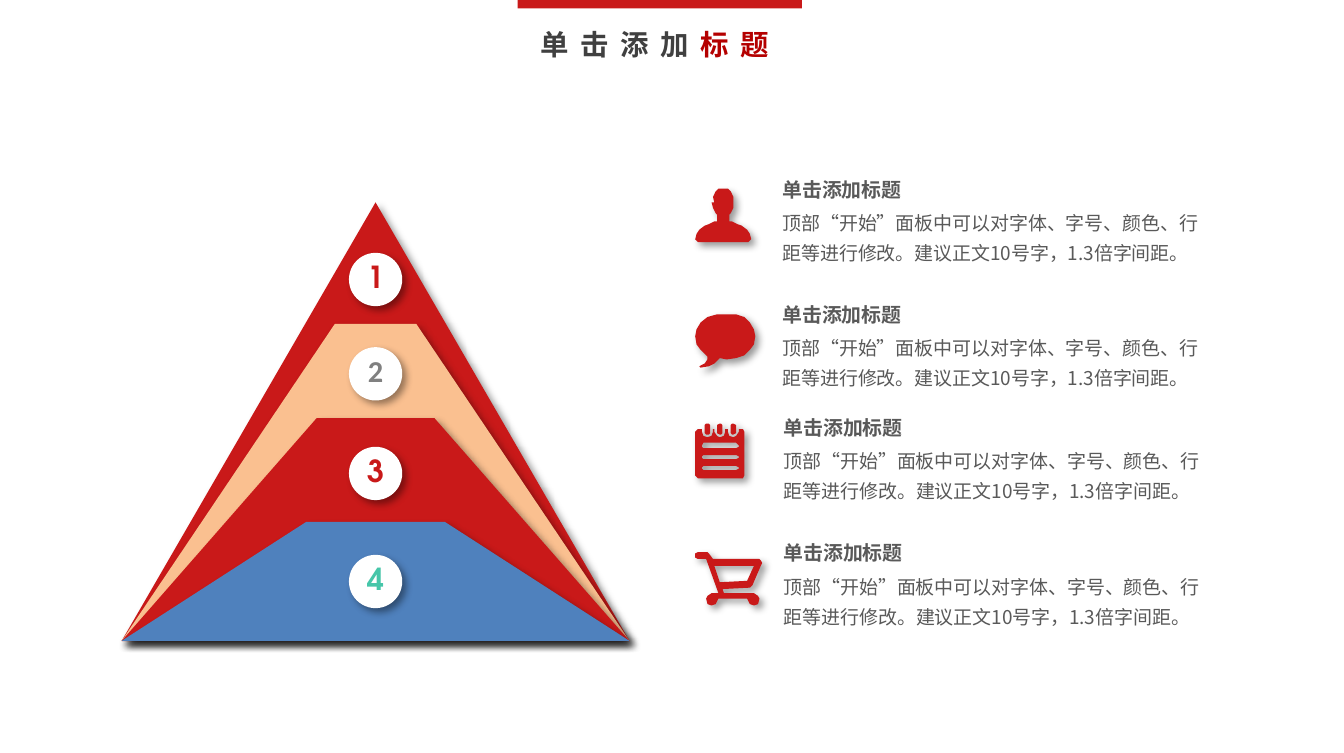
"""Build a slide with a four-level pyramid and four icon-led notes."""
from lxml import etree
from pptx import Presentation
from pptx.dml.color import RGBColor
from pptx.enum.shapes import MSO_SHAPE
from pptx.enum.text import MSO_AUTO_SIZE, PP_ALIGN
from pptx.oxml.ns import qn
from pptx.util import Pt

TRIANGLE, TRAPEZOID = MSO_SHAPE.ISOSCELES_TRIANGLE, MSO_SHAPE.TRAPEZOID
OVAL, RECTANGLE = MSO_SHAPE.OVAL, MSO_SHAPE.RECTANGLE
LEFT, CENTER = PP_ALIGN.LEFT, PP_ALIGN.CENTER
FIT_SHAPE = MSO_AUTO_SIZE.SHAPE_TO_FIT_TEXT

THEME = {
    "red": "C91919", "peach": "FAC090", "blue": "4F81BD", "white": "FFFFFF",
    "gray": "808080", "teal": "46C6A9", "text": "595959",
    "title": "404040", "accent": "B40000", "shadow": "000000",
    "heading font": "Calibri", "body font": "Noto Sans CJK SC",
    "quote font": "Roboto", "number font": "TeX Gyre Adventor",
    "title size": 15, "number size": 16, "heading size": 10.5, "body size": 10,
}

TITLE = [("单击添加", "title"), ("标题", "accent")]
HEADING = "单击添加标题"
BODY = ["顶部", "“", "开始", "”",
        "面板中可以对字体、字号、颜色、行距等进行修改。建议正文10号字，1.3倍字间距。"]

# level: label, top, trapezoid inset, fill, badge top, number colour, number font
LEVELS = [
    ("1", 106.6, None, "red", 133.2, "red", "number font"),
    ("2", 170.6, 0.673, "peach", 182.9, "gray", "heading font"),
    ("3", 220.3, 0.876, "red", 235.4, "red", "number font"),
    ("4", 275.0, 1.552, "blue", 292.3, "teal", "number font"),
]
PYRAMID_LEFT, PYRAMID_WIDTH, PYRAMID_BOTTOM = 64.1, 267.8, 337.7
BADGE_SIZE, NUMBER_WIDTH = 28.1, 24
ICON_LEFT, ICON_UNIT = 366.5, 0.72

HALF_PERSON = [
    (20.5, 0), (22, 0), (24, 0.5), (26, 2), (27, 3.5), (28, 6), (27.5, 9.5),
    (28.5, 10.5), (28, 13.5), (27, 15.5), (26, 17.5), (25, 19), (25, 23.5),
    (27, 24.5), (31, 26), (34, 27), (38, 30), (40, 33), (41, 37), (40, 38.5),
    (39, 39),
]
BUBBLE = [
    (23, 0), (30, 0.5), (36, 2.5), (40.5, 6), (43, 11), (44, 16.5), (43, 22),
    (40.5, 26.5), (36, 30), (30, 32), (23, 33), (18.5, 32), (14, 36), (10, 38),
    (4, 39), (3, 38), (7, 36), (9, 33), (9, 31), (8, 29.5), (4, 26), (1, 22),
    (0, 16.5), (1, 11), (4, 6), (9, 2.5), (16, 0.5),
]
BASKET = [(14, 10), (18, 22), (38, 21), (43, 10)]
CART = [
    (2, 0), (9, 0), (10.5, 0.8), (13, 5), (47, 5), (48.5, 6), (49, 8),
    (48, 9.5), (42.5, 24.5), (40, 26), (20, 27), (21, 30), (43, 30), (46, 31.5),
    (47, 34.5), (46, 37.5), (43, 39), (40, 38), (38, 34.5), (17, 34.5),
    (15, 38), (12, 39), (9, 37.5), (8, 34.5), (9, 31.5), (12, 30), (17, 30),
    (8, 5), (2, 5), (0.5, 4), (0, 2.5), (0.5, 0.8),
]


def mirrored(half, width):
    return half + [(width - x, y) for x, y in reversed(half)]


def capsule(left, top, width, height):
    cut, right, bottom = min(width, height) / 3, left + width, top + height
    return [(left + cut, top), (right - cut, top), (right, top + cut),
            (right, bottom - cut), (right - cut, bottom), (left + cut, bottom),
            (left, bottom - cut), (left, top + cut)]


def notepad():
    ring_centers = [9 + 9.4 * index for index in range(3)]
    notch = [(-4, 4), (-4, 6), (-2.5, 9), (0, 10), (2.5, 9), (4, 6), (4, 4)]
    page = [(1.5, 4)] + [(center + x, y) for center in ring_centers for x, y in notch]
    page += [(35, 4), (36.5, 5.5), (36.5, 38), (35, 39.5),
             (1.5, 39.5), (0, 38), (0, 5.5)]
    lines = [capsule(5, 14.5 + 8.2 * index, 26.5, 3.6) for index in range(3)]
    rings = [capsule(center - 2, 0, 4, 8) for center in ring_centers]
    return [page] + lines + rings


# note: left, heading top, icon top, icon outlines
NOTES = [
    (405.4, 90, 99.4, [mirrored(HALF_PERSON, 41)]),
    (405.4, 155.8, 165.6, [BUBBLE]),
    (406.1, 215.3, 223.2, notepad()),
    (406.1, 281.5, 290.9, [BASKET, CART]),
]


def color(name):
    return RGBColor.from_string(THEME[name])


def paint(shape, fill, shadow=True):
    shape.fill.solid()
    shape.fill.fore_color.rgb = color(fill)
    shape.line.fill.background()
    shape.shadow.inherit = False
    if shadow:
        effects = shape._element.spPr.find(qn("a:effectLst"))
        outer = etree.SubElement(effects, qn("a:outerShdw"), blurRad=str(Pt(4)),
                                 dist=str(Pt(3)), dir="2700000", algn="tl", rotWithShape="0")
        tint = etree.SubElement(outer, qn("a:srgbClr"), val=THEME["shadow"])
        etree.SubElement(tint, qn("a:alpha"), val="40000")


def add_preset(slide, kind, box, fill, shadow=True):
    shape = slide.shapes.add_shape(kind, *map(Pt, box))
    paint(shape, fill, shadow)
    return shape


def add_icon(slide, top, outlines):
    first, *others = outlines
    builder = slide.shapes.build_freeform(*first[0], scale=Pt(ICON_UNIT))
    builder.add_line_segments(first[1:], close=True)
    for outline in others:
        builder.move_to(*outline[0])
        builder.add_line_segments(outline[1:], close=True)
    paint(builder.convert_to_shape(Pt(ICON_LEFT), Pt(top)), "red")


def add_text(slide, box, texts, role, font_name, tint, bold=True, wrap=False, align=LEFT):
    frame = slide.shapes.add_textbox(*map(Pt, box)).text_frame
    frame.word_wrap = wrap
    frame.auto_size = FIT_SHAPE
    paragraph = frame.paragraphs[0]
    paragraph.alignment = align
    font = paragraph.font
    font.size, font.bold = Pt(THEME[role + " size"]), bold
    font.color.rgb = color(tint)
    font.name = THEME[font_name]
    etree.SubElement(font._element, qn("a:ea"), typeface=THEME["body font"])
    for text in texts:
        paragraph.add_run().text = text
    return frame


def add_title(slide):
    add_preset(slide, RECTANGLE, (272.9, 0, 149.8, 4.4), "red", shadow=False)
    frame = add_text(slide, (280.1, 11.5, 221.8, 23.8), [text for text, _ in TITLE],
                     "title", "heading font", "title", wrap=True)
    frame.margin_left = frame.margin_right = Pt(5)
    frame.margin_top = frame.margin_bottom = Pt(2.6)
    paragraph = frame.paragraphs[0]
    paragraph.font._element.set("spc", "600")
    for run, (_, tint) in zip(paragraph.runs, TITLE):
        run.font.color.rgb = color(tint)


def add_pyramid(slide):
    center = PYRAMID_LEFT + PYRAMID_WIDTH / 2
    for _, top, inset, fill, *_ in LEVELS:
        box = (PYRAMID_LEFT, top, PYRAMID_WIDTH, PYRAMID_BOTTOM - top)
        level = add_preset(slide, TRAPEZOID if inset else TRIANGLE, box, fill)
        if inset:
            level.adjustments[0] = inset
    for label, _, _, _, top, tint, font_name in LEVELS:
        add_preset(slide, OVAL, (center - BADGE_SIZE / 2, top, BADGE_SIZE, BADGE_SIZE), "white")
        add_text(slide, (center - NUMBER_WIDTH / 2, top - 0.8, NUMBER_WIDTH, 26.6),
                 [label], "number", font_name, tint, align=CENTER)


def add_notes(slide):
    for left, top, icon_top, outlines in NOTES:
        add_icon(slide, icon_top, outlines)
        frame = add_text(slide, (left, top + 14.5, 233.8, 37.4), BODY, "body",
                         "body font", "text", bold=False, wrap=True)
        paragraph = frame.paragraphs[0]
        paragraph.line_spacing = 1.3
        for run in paragraph.runs:
            if run.text in "“”":
                run.font.name = THEME["quote font"]
        add_text(slide, (left, top, 78.5, 20.2), [HEADING], "heading", "heading font", "text")


def main():
    presentation = Presentation()
    presentation.slide_width, presentation.slide_height = Pt(708.5), Pt(396.7)
    slide = presentation.slides.add_slide(presentation.slide_layouts[6])
    add_pyramid(slide)
    add_notes(slide)
    add_title(slide)
    presentation.save("out.pptx")


if __name__ == "__main__":
    main()
